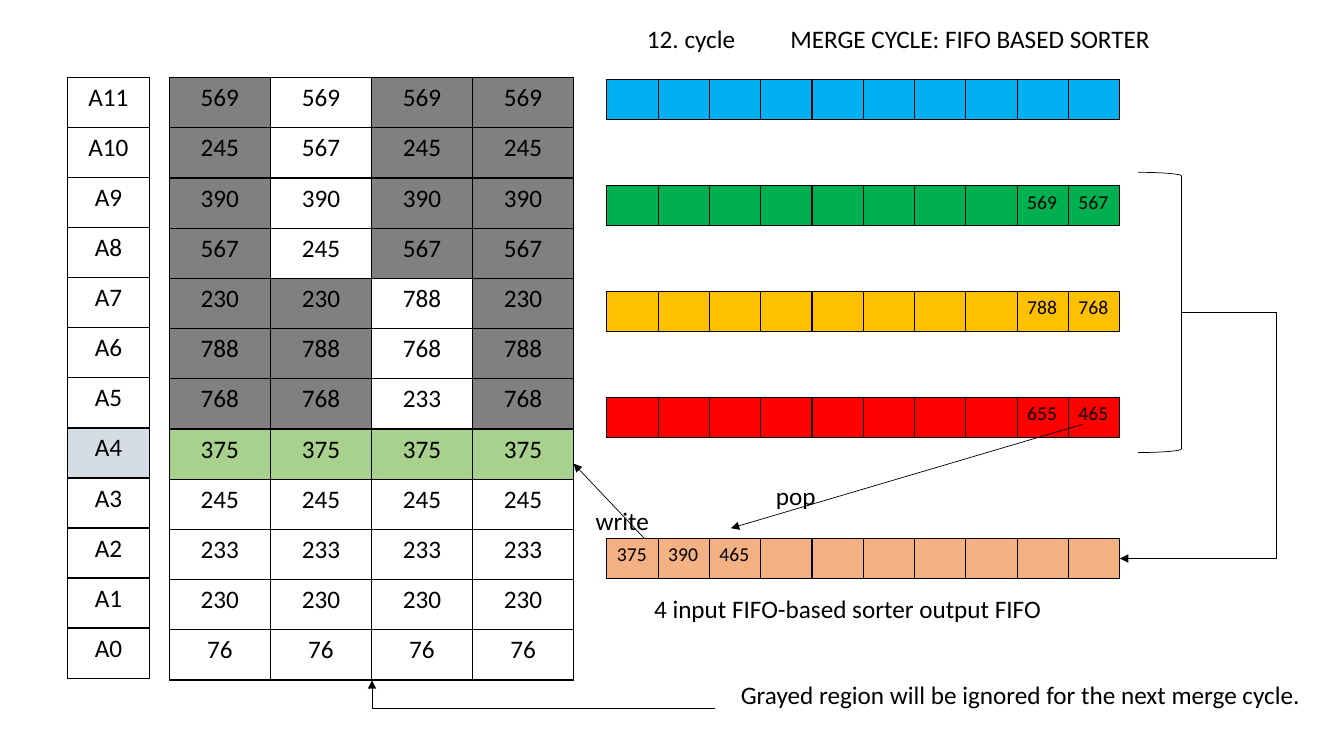
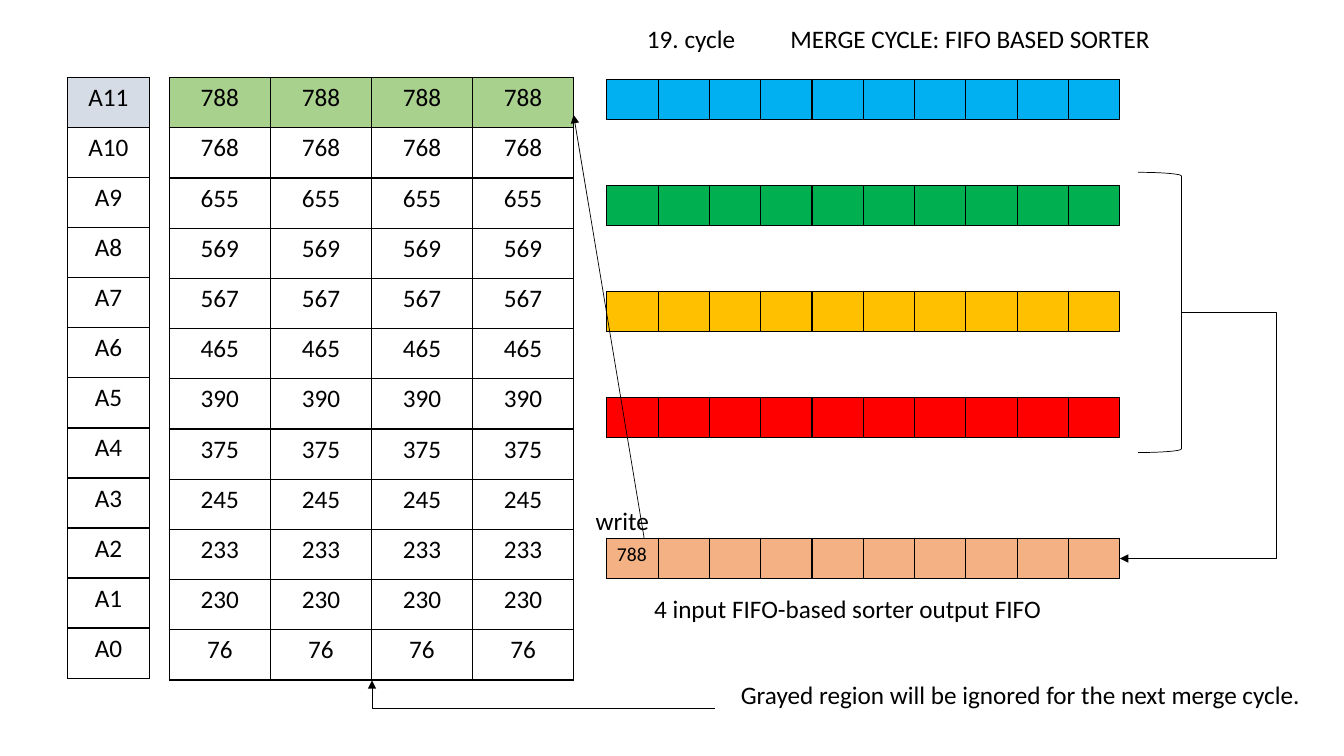
from lxml.etree import SubElement
from pptx import Presentation
from pptx.dml.color import RGBColor
from pptx.enum.shapes import MSO_CONNECTOR, MSO_SHAPE
from pptx.enum.text import MSO_ANCHOR, MSO_AUTO_SIZE, PP_ALIGN
from pptx.oxml.ns import qn
from pptx.util import Inches, Pt

COLORS = {
    "ink": "000000", "ignored": "808080", "written": "A9D18E", "address": "D6DCE5",
    "blue": "00B0F0", "green": "00B050", "amber": "FFC000", "red": "FF0000",
    "output": "F4B183",
}
INPUTS = ("blue", "green", "amber", "red")
FIFO_LEFT, FIFO_WIDTH, FIFO_TOP, FIFO_PITCH, FIFO_DEPTH = 45.15, 38.18, 10.53, 14, 10
LINE_HEIGHT = 5.33
OUTPUT_TOP = 71.2


def rgb(name):
    return RGBColor.from_string(COLORS[name])


class Deck:
    """Style and current slide; lengths are percent of the slide's width and height."""

    font, size, small = "Calibri", 18, 14
    line_width, border_width = 0.5, 1

    def __init__(self):
        self.prs = Presentation()
        self.prs.slide_width, self.prs.slide_height = Inches(13.33), Inches(7.5)
        self.s = None

    def x(self, share):
        return round(self.prs.slide_width * share / 100)

    def y(self, share):
        return round(self.prs.slide_height * share / 100)

    def box(self, left, top, width, height):
        return self.x(left), self.y(top), self.x(width), self.y(height)

    def put_text(self, tf, text, size=None, align=PP_ALIGN.LEFT):
        size = size or self.size
        p = tf.paragraphs[0]
        p.alignment = align
        if not text:
            # An empty cell keeps its row low only through its end mark.
            p._p.get_or_add_endParaRPr().set("sz", str(size * 100))
            return
        r = p.add_run()
        r.text = text
        r.font.name, r.font.size = self.font, Pt(size)
        r.font.color.rgb = rgb("ink")

    def add_slide(self, title, box):
        self.s = self.prs.slides.add_slide(self.prs.slide_layouts[5])
        sp = self.s.shapes.title
        sp.left, sp.top, sp.width, sp.height = self.box(*box)
        self.fill_box(sp.text_frame, title)

    def fill_box(self, tf, text):
        tf.word_wrap = True
        tf.auto_size = MSO_AUTO_SIZE.SHAPE_TO_FIT_TEXT
        tf.vertical_anchor = MSO_ANCHOR.TOP
        self.put_text(tf, text)

    def text(self, text, left, top, width):
        sp = self.s.shapes.add_textbox(*self.box(left, top, width, LINE_HEIGHT))
        self.fill_box(sp.text_frame, text)

    def border(self, cell):
        tc_pr = cell._tc.get_or_add_tcPr()
        for side in ("lnL", "lnR", "lnT", "lnB"):
            ln = SubElement(tc_pr, qn(f"a:{side}"), w=str(Pt(self.border_width)))
            fill = SubElement(ln, qn("a:solidFill"))
            SubElement(fill, qn("a:srgbClr"), val=COLORS["ink"])

    def table(self, rows, box, **text_format):
        """Draw equal cells; each is a pair of text and colour name or None."""
        n_rows, n_cols = len(rows), len(rows[0])
        left, top, width, height = self.box(*box)
        table = self.s.shapes.add_table(n_rows, n_cols, left, top, width, height).table
        table.first_row = table.horz_banding = False
        for column in table.columns:
            column.width = width // n_cols
        for i, row in enumerate(rows):
            table.rows[i].height = height // n_rows
            for j, (text, color) in enumerate(row):
                cell = table.cell(i, j)
                self.border(cell)
                if color:
                    cell.fill.solid()
                    cell.fill.fore_color.rgb = rgb(color)
                else:
                    cell.fill.background()
                self.put_text(cell.text_frame, text, **text_format)

    def fifo(self, color, top, values):
        row = [(text, color) for text in values]
        self.table([row], (FIFO_LEFT, top, FIFO_WIDTH, LINE_HEIGHT), size=self.small)

    def bracket(self, *box):
        sp = self.s.shapes.add_shape(MSO_SHAPE.RIGHT_BRACKET, *self.box(*box))
        sp.shadow.inherit = False
        sp.fill.background()
        self.outline(sp)

    def outline(self, shape):
        shape.line.color.rgb = rgb("ink")
        shape.line.width = Pt(self.line_width)

    def arrow(self, start, end, kind=MSO_CONNECTOR.STRAIGHT):
        c = self.s.shapes.add_connector(
            kind, self.x(start[0]), self.y(start[1]), self.x(end[0]), self.y(end[1]))
        self.outline(c)
        SubElement(c.line._get_or_add_ln(), qn("a:tailEnd"), type="triangle")
        SubElement(c.element.spPr, qn("a:effectLst"))
        return c

    def bent_arrow(self, start, end, via_x=None):
        """Turn once at the end's column, or twice at via_x."""
        sp_pr = self.arrow(start, end, MSO_CONNECTOR.ELBOW).element.spPr
        # A half turn with both flips reversed keeps the same route.
        xfrm = sp_pr.xfrm
        xfrm.rot, xfrm.flipH, xfrm.flipV = 180, not xfrm.flipH, not xfrm.flipV
        geometry = sp_pr.find(qn("a:prstGeom"))
        if via_x is None:
            geometry.set("prst", "bentConnector2")
            return
        guides = geometry.find(qn("a:avLst"))
        if guides is None:
            guides = SubElement(geometry, qn("a:avLst"))
        turn = round((via_x - start[0]) / (end[0] - start[0]) * 100000)
        SubElement(guides, qn("a:gd"), name="adj1", fmla=f"val {turn}")


def merge_cycle(deck, cycle, columns, written, live, inputs, output, arrow_y):
    """Draw one cycle; live lists, per column, the rows above the written one still in use."""
    deck.add_slide("MERGE CYCLE: FIFO BASED SORTER", (58.05, 2.4, 31.35, LINE_HEIGHT))
    deck.text(f"{cycle}. cycle", 47.4, 2.4, 10.65)

    def color(row, col):
        if row == written:
            return "written"
        return "ignored" if row < written and row not in live[col] else None

    depth = len(columns[0])
    memory = [[(str(column[i]), color(i, j)) for j, column in enumerate(columns)]
              for i in range(depth)]
    addresses = [[(f"A{depth - 1 - i}", "address" if i == written else None)]
                 for i in range(depth)]
    deck.table(memory, (12.6, 10.27, 30.08, 79.73), align=PP_ALIGN.CENTER)
    deck.table(addresses, (5.03, 10.27, 6.08, 79.47), align=PP_ALIGN.CENTER)
    deck.bent_arrow((53.18, 93.73), (27.68, 90))
    deck.text("Grayed region will be ignored for the next merge cycle.", 54.38, 89.2, 43.43)

    for i, name in enumerate(INPUTS):
        values = inputs.get(name, [])
        padding = [""] * (FIFO_DEPTH - len(values))
        deck.fifo(name, FIFO_TOP + i * FIFO_PITCH, padding + values)
    deck.fifo("output", OUTPUT_TOP, output + [""] * (FIFO_DEPTH - len(output)))
    deck.text("4 input FIFO-based sorter output FIFO", 47.93, 77.87, 32.63)

    deck.bracket(84.68, 22.8, 3.23, 37.07)
    deck.bent_arrow((87.98, 41.33), (FIFO_LEFT + FIFO_WIDTH, 73.87), via_x=94.95)
    deck.arrow((47.93, OUTPUT_TOP), (42.68, arrow_y))
    deck.text("write", 43.58, 66.13, 5.55)


def main():
    deck = Deck()

    stored = [569, 245, 390, 567, 230, 788, 768, 375, 245, 233, 230, 76]
    second = [569, 567, 390, 245] + stored[4:]
    third = stored[:4] + [788, 768, 233] + stored[7:]
    merge_cycle(
        deck, 12, [stored, second, third, stored], written=7,
        live=[(), range(4), range(4, 7), ()],
        inputs={"green": ["569", "567"], "amber": ["788", "768"], "red": ["655", "465"]},
        output=["375", "390", "465"], arrow_y=61.33)
    deck.arrow((80.55, 56.13), (54.38, 69.87))
    deck.text("pop", 57, 62.93, 6.68)

    merged = [788, 768, 655, 569, 567, 465, 390, 375, 245, 233, 230, 76]
    merge_cycle(deck, 19, [merged] * 4, written=0, live=[()] * 4, inputs={},
                output=["788"], arrow_y=15.2)

    deck.prs.save("out.pptx")


if __name__ == "__main__":
    main()
